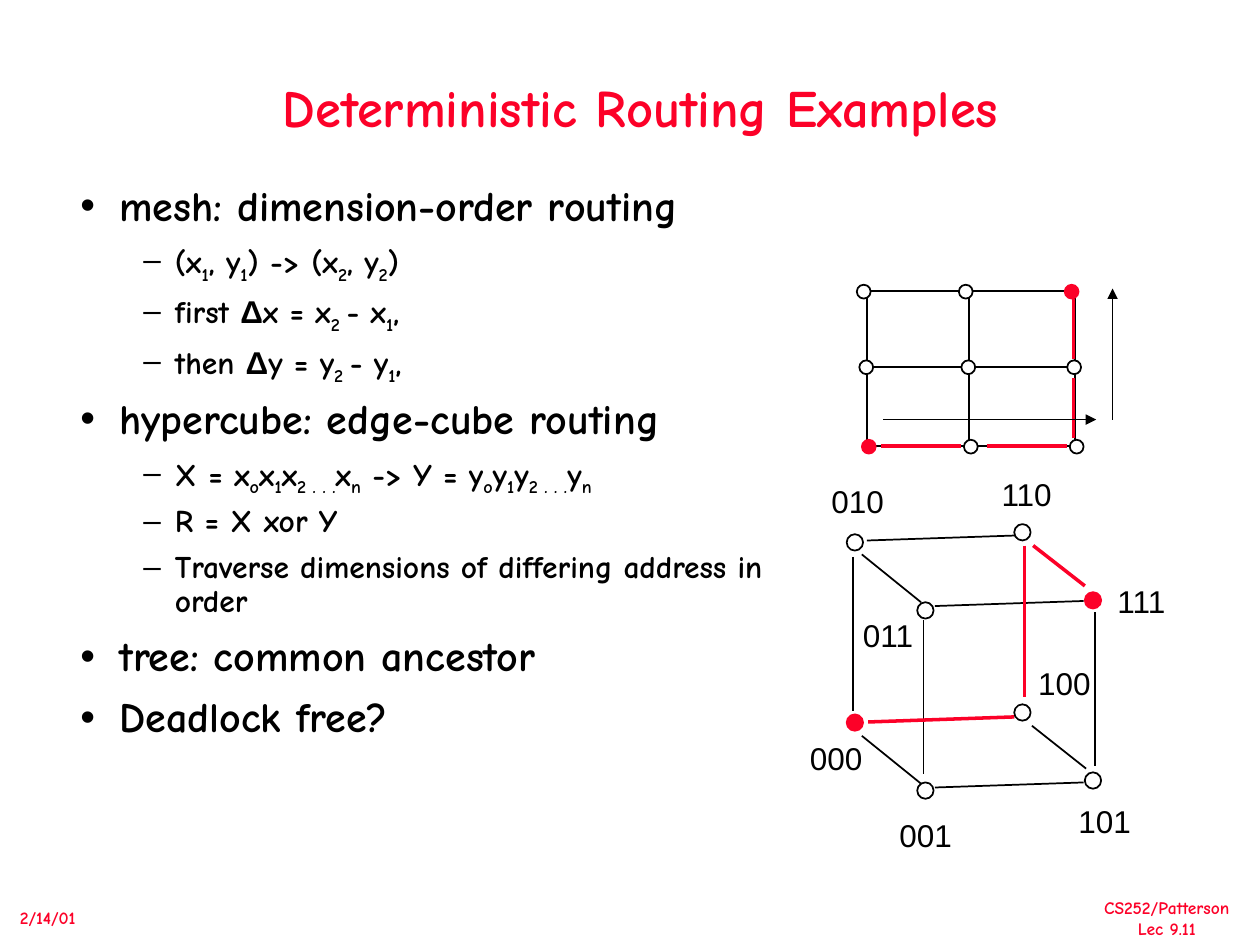
from lxml import etree
from pptx import Presentation
from pptx.dml.color import RGBColor
from pptx.enum.shapes import MSO_CONNECTOR, MSO_SHAPE
from pptx.enum.text import MSO_ANCHOR, PP_ALIGN
from pptx.oxml.ns import qn
from pptx.util import Inches, Pt

STRAIGHT = MSO_CONNECTOR.STRAIGHT
OVAL = MSO_SHAPE.OVAL
LEFT, CENTER = PP_ALIGN.LEFT, PP_ALIGN.CENTER
TOP, MIDDLE = MSO_ANCHOR.TOP, MSO_ANCHOR.MIDDLE
RED, BLACK, WHITE = "FC0128", "000000", "FFFFFF"
COMIC, ARIAL = "Comic Neue", "Arial"
color_of = RGBColor.from_string

# Bullet: text size, space before, left margin, hanging indent
BULLETS = {"•": (24, 9, 0.31, -0.31), "–": (18, 6.8, 0.75, -0.25)}

deck = Presentation()
deck.slide_width, deck.slide_height = Inches(10), Inches(7.5)
slide = deck.slides.add_slide(deck.slide_layouts[6])


def write(text, left, top, width, height, size=18, font=COMIC, color=BLACK,
          bold=True, align=LEFT, anchor=TOP, wrap=False, spacing=1.0):
    """Add a text box with a paragraph per line.

    A line may open with a bullet; "|" parts spans and "_" opens a subscript.
    """
    box = slide.shapes.add_textbox(*map(Inches, (left, top, width, height)))
    frame = box.text_frame
    frame.word_wrap, frame.vertical_anchor = wrap, anchor
    for index, line in enumerate(text.split("\n")):
        para = frame.paragraphs[0] if index == 0 else frame.add_paragraph()
        para.alignment, para.line_spacing = align, spacing
        line_size = size
        if line[0] in BULLETS:
            bullet, line = line.split(" ", 1)
            line_size, before, margin, indent = BULLETS[bullet]
            layout = para._p.get_or_add_pPr()
            layout.set("marL", str(Inches(margin)))
            layout.set("indent", str(Inches(indent)))
            tint = etree.SubElement(layout, qn("a:buClr"))
            etree.SubElement(tint, qn("a:srgbClr"), val=BLACK)
            etree.SubElement(layout, qn("a:buFont"), typeface=ARIAL)
            etree.SubElement(layout, qn("a:buChar"), char=bullet)
            para.space_before = Pt(before if index else 0)
        for piece in line.split("|"):
            span = para.add_run()
            span.text = piece.removeprefix("_")
            span.font.size, span.font.bold = Pt(line_size), bold
            span.font.name = ARIAL if piece == "Δ" else font
            span.font.color.rgb = color_of(color)
            if piece.startswith("_"):
                span.font._element.set("baseline", "-25000")


def add_line(x1, y1, x2, y2, color=BLACK, arrow=False):
    """Draw a line; the red route is twice as thick."""
    line = slide.shapes.add_connector(STRAIGHT, *map(Inches, (x1, y1, x2, y2)))
    line.line.color.rgb = color_of(color)
    line.line.width = Pt(2 if color == RED else 1)
    if arrow:
        etree.SubElement(line.line._get_or_add_ln(), qn("a:tailEnd"), type="triangle")
    etree.SubElement(line._element.spPr, qn("a:effectLst"))


# Title, body and footers
write("Deterministic Routing Examples", 1.17, 0.25, 7.83, 1.25, size=30, color=RED,
      align=CENTER, anchor=MIDDLE, wrap=True, spacing=0.9)
write("""• mesh: dimension-order routing
– (x|_1|, y|_1|) -> (x|_2|, y|_2|)
– first |Δ|x = x|_2 |- x|_1|,
– then |Δ|y = y|_2 |- y|_1|,
• hypercube: edge-cube routing
– X = x|_o|x|_1|x|_2 . . .|x|_n| -> Y = y|_o|y|_1|y|_2 . . .|y|_n
– R = X xor Y
– Traverse dimensions of differing address in order
• tree: common ancestor
• Deadlock free?""", 0.54, 1.42, 5.81, 5.71, wrap=True, spacing=0.9)
write("2/14/01", 0.06, 7.15, 0.64, 0.27, size=10, color=RED)
write("CS252/Patterson\nLec 9.11", 8.66, 7.07, 1.2, 0.43, size=10, color=RED, align=CENTER)

# Mesh: each row of nodes leans a little to the right
mesh_columns, mesh_rows, lean = (6.8, 7.61, 8.45), (2.26, 2.86, 3.49), 0.02
for column in mesh_columns:
    add_line(column + 0.08, 2.34, column + 0.08, 3.54)
nodes = []
for row, top in enumerate(mesh_rows):
    shift = row * lean
    add_line(6.86 + shift, top + 0.05, 8.47 + shift, top + 0.05)
    for column, left in enumerate(mesh_columns):
        nodes.append((left + shift, top, 0.11, (row, column) in ((0, 2), (2, 0))))
for route in ((6.99, 3.54, 7.63, 3.54), (7.83, 3.54, 8.47, 3.54),
              (8.52, 3.48, 8.52, 3), (8.52, 2.85, 8.52, 2.37)):
    add_line(*route, color=RED)
add_line(7.01, 3.33, 8.7, 3.33, arrow=True)
add_line(8.83, 3.33, 8.83, 2.29, arrow=True)

# Hypercube: address bits move a node right, up and to the front
cube_labels = {
    "000": (6.33, 5.82), "001": (7.04, 6.43), "100": (8.14, 5.22), "101": (8.46, 6.32),
    "010": (6.5, 3.78), "011": (6.75, 4.84), "110": (7.85, 3.72), "111": (8.77, 4.57),
}
for address, (left, top) in cube_labels.items():
    right, up, front = map(int, address)
    nodes.append((6.72 + 1.33 * right + 0.56 * front,
                  5.67 - 0.08 * right - 1.43 * up + 0.54 * front,
                  0.13, address in ("000", "111")))
    write(address, left, top, 0.62, 0.4, font=ARIAL, bold=False)

cube_edges = (
    (7.42, 6.25, 8.6, 6.21), (6.88, 4.29, 8.06, 4.25), (7.42, 4.81, 8.6, 4.77),
    (8.19, 5.76, 8.62, 6.1), (6.84, 5.84, 7.31, 6.22), (6.84, 4.4, 7.31, 4.78),
    (6.77, 4.42, 6.77, 5.64), (7.33, 4.92, 7.33, 6.14), (8.69, 4.86, 8.69, 6.08),
)
cube_route = ((6.89, 5.73, 8.05, 5.69), (8.13, 4.33, 8.13, 5.53), (8.2, 4.33, 8.61, 4.65))
for edge in cube_edges:
    add_line(*edge)
for edge in cube_route:
    add_line(*edge, color=RED)

# Nodes of both networks; the two ends of each route are red
for left, top, size, is_end in nodes:
    node = slide.shapes.add_shape(OVAL, *map(Inches, (left, top, size, size)))
    node.shadow.inherit = False
    node.fill.solid()
    node.fill.fore_color.rgb = color_of(RED if is_end else WHITE)
    node.line.color.rgb = color_of(RED if is_end else BLACK)
    node.line.width = Pt(1)

deck.save("out.pptx")
